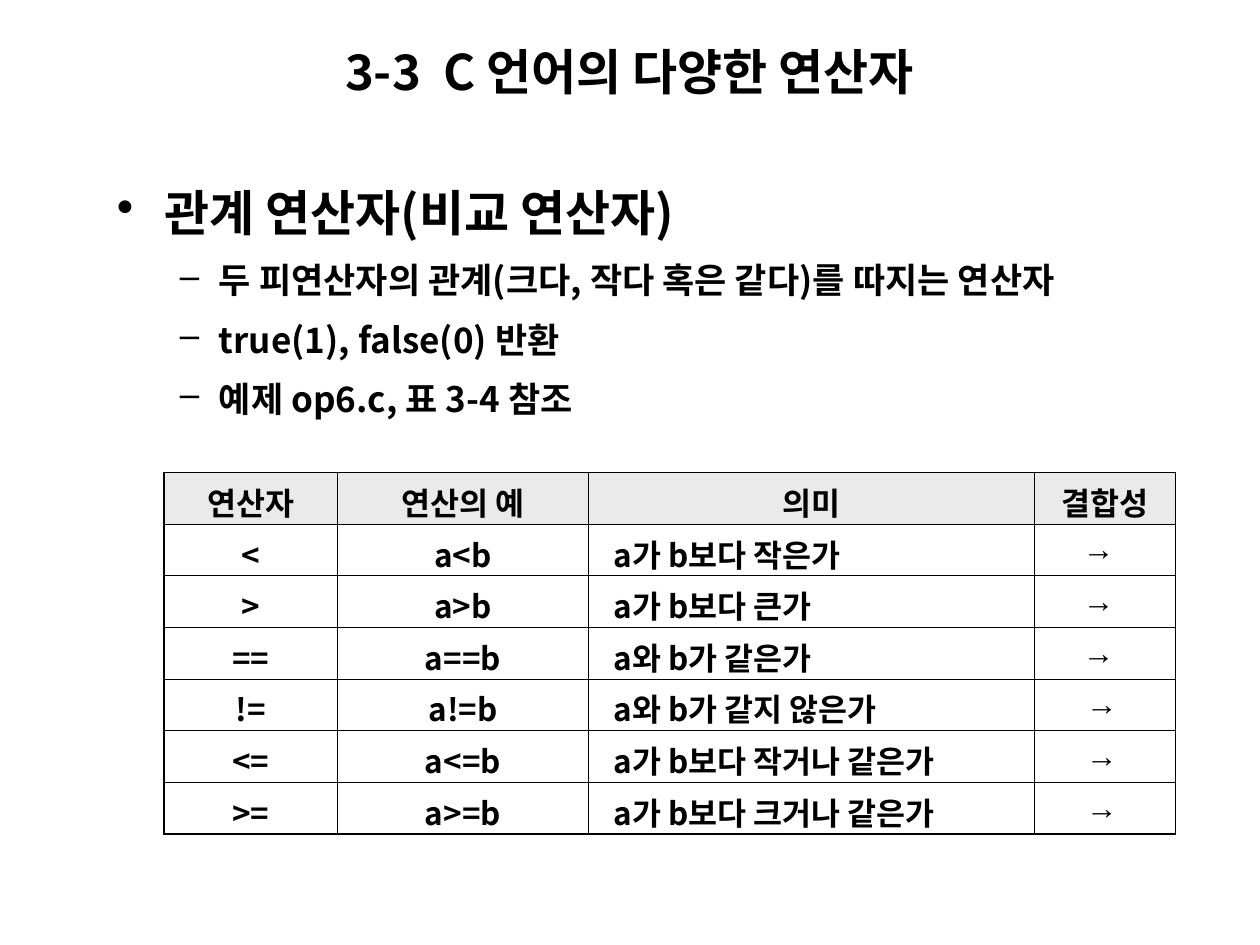
"""Build the slide on relational operators in C."""
from lxml import etree
from pptx import Presentation
from pptx.dml.color import RGBColor
from pptx.enum.text import MSO_ANCHOR, PP_ALIGN
from pptx.oxml.ns import qn
from pptx.util import Inches, Pt

BLACK = RGBColor(0x00, 0x00, 0x00)
WHITE = RGBColor(0xFF, 0xFF, 0xFF)
HEADER_GRAY = RGBColor(0xEA, 0xEA, 0xEA)
KOREAN_FONT = "Noto Sans CJK KR"
ARROW_FONT = "Arial"
LEFT, CENTER = PP_ALIGN.LEFT, PP_ALIGN.CENTER
TOP, MIDDLE = MSO_ANCHOR.TOP, MSO_ANCHOR.MIDDLE
OUTER_LINE, INNER_LINE = Pt(1.08), Pt(0.45)

TITLE = "3-3  C 언어의 다양한 연산자"
TOPIC = "관계 연산자(비교 연산자)"
POINTS = [
    "두 피연산자의 관계(크다, 작다 혹은 같다)를 따지는 연산자",
    "true(1), false(0) 반환",
    "예제 op6.c, 표 3-4 참조",
]
HEADERS = ["연산자", "연산의 예", "의미", "결합성"]
OPERATORS = [
    ("<", "a가 b보다 작은가"),
    (">", "a가 b보다 큰가"),
    ("==", "a와 b가 같은가"),
    ("!=", "a와 b가 같지 않은가"),
    ("<=", "a가 b보다 작거나 같은가"),
    (">=", "a가 b보다 크거나 같은가"),
]
COLUMN_WIDTHS = [1.38, 1.99, 3.54, 1.12]
ROW_HEIGHT = 0.41
MEANING, DIRECTION = 2, 3


def write_text(para, text, size, font=KOREAN_FONT, align=LEFT, before=0):
    """Write one bold black run into a paragraph."""
    para.alignment = align
    para.space_before = Pt(before)
    span = para.add_run()
    span.text = text
    span.font.size = Pt(size)
    span.font.bold = True
    span.font.color.rgb = BLACK
    span.font.name = font
    properties = span.font._element
    etree.SubElement(properties, qn("a:ea")).set("typeface", font)


def add_box(page, left, top, width, height, anchor=TOP):
    """Add a wrapping text box and return its text frame."""
    box = page.shapes.add_textbox(Inches(left), Inches(top), Inches(width), Inches(height))
    frame = box.text_frame
    frame.word_wrap = True
    frame.vertical_anchor = anchor
    return frame


def set_bullet(para, symbol, level, margin, hanging):
    """Give a paragraph a black bullet with a hanging indent."""
    para.level = level
    para.line_spacing = 1.2
    properties = para._p.get_or_add_pPr()
    properties.set("marL", str(Inches(margin)))
    properties.set("indent", str(-Inches(hanging)))
    color = etree.SubElement(properties, qn("a:buClr"))
    etree.SubElement(color, qn("a:srgbClr")).set("val", str(BLACK))
    etree.SubElement(properties, qn("a:buChar")).set("char", symbol)


def add_points(page):
    """Add the topic with its dashed points."""
    frame = add_box(page, 0.83, 1.31, 8.5, 2.07)
    topic = frame.paragraphs[0]
    set_bullet(topic, "•", level=0, margin=0.38, hanging=0.38)
    write_text(topic, TOPIC, 28)
    for point in POINTS:
        para = frame.add_paragraph()
        set_bullet(para, "–", level=1, margin=0.81, hanging=0.31)
        write_text(para, point, 20, before=5)


def set_borders(cell, widths):
    """Draw the left, right, top and bottom borders of a cell."""
    properties = cell._tc.get_or_add_tcPr()
    for position, (side, width) in enumerate(zip("LRTB", widths)):
        line = etree.Element(qn(f"a:ln{side}"), w=str(width))
        fill = etree.SubElement(line, qn("a:solidFill"))
        etree.SubElement(fill, qn("a:srgbClr")).set("val", str(BLACK))
        properties.insert(position, line)


def fill_cell(cell, text, color, font=KOREAN_FONT, align=CENTER):
    """Fill a cell with a colour and one line of text."""
    cell.fill.solid()
    cell.fill.fore_color.rgb = color
    cell.vertical_anchor = MIDDLE
    write_text(cell.text_frame.paragraphs[0], text, 18, font=font, align=align)


def add_operator_table(page):
    """Add the table of relational operators."""
    rows = [HEADERS] + [(sign, f"a{sign}b", meaning, "→") for sign, meaning in OPERATORS]
    last_row, last_column = len(rows) - 1, len(HEADERS) - 1
    table = page.shapes.add_table(
        len(rows), len(HEADERS), Inches(1.3), Inches(3.75),
        Inches(sum(COLUMN_WIDTHS)), Inches(ROW_HEIGHT * len(rows)),
    ).table
    table.first_row = table.horz_banding = False
    for column, width in zip(table.columns, COLUMN_WIDTHS):
        column.width = Inches(width)
    for r, values in enumerate(rows):
        table.rows[r].height = Inches(ROW_HEIGHT)
        for c, text in enumerate(values):
            cell = table.cell(r, c)
            if r == 0:
                fill_cell(cell, text, HEADER_GRAY)
            elif c == MEANING:
                fill_cell(cell, text, WHITE, align=LEFT)
                cell.margin_left = Inches(0.2)
            elif c == DIRECTION:
                fill_cell(cell, text, WHITE, font=ARROW_FONT)
                cell.margin_right = Inches(0.2 if r <= 3 else 0.15)
            else:
                fill_cell(cell, text, WHITE)
            edges = (c == 0, c == last_column, r == 0, r == last_row)
            set_borders(cell, [OUTER_LINE if edge else INNER_LINE for edge in edges])


def main():
    """Build and save the deck."""
    deck = Presentation()
    deck.slide_width, deck.slide_height = Inches(10), Inches(7.5)
    page = deck.slides.add_slide(deck.slide_layouts[6])
    add_points(page)
    add_operator_table(page)
    title = add_box(page, 2.64, 0.28, 5.51, 0.57, anchor=MIDDLE)
    write_text(title.paragraphs[0], TITLE, 28)
    deck.save("out.pptx")


if __name__ == "__main__":
    main()
